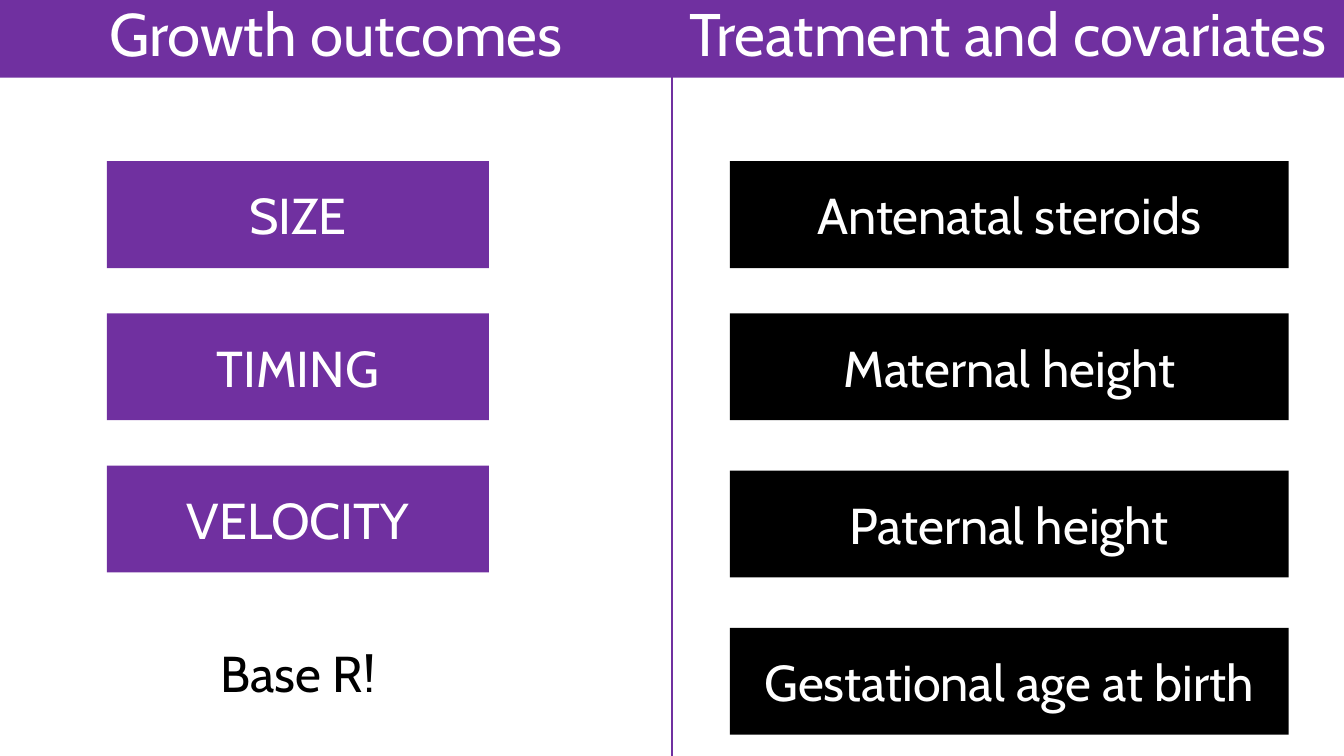
from lxml.etree import SubElement
from pptx import Presentation
from pptx.dml.color import RGBColor
from pptx.enum.shapes import MSO_CONNECTOR as LINE, MSO_SHAPE as SHAPE
from pptx.enum.text import MSO_ANCHOR as ANCHOR, MSO_AUTO_SIZE as FIT, PP_ALIGN as ALIGN
from pptx.oxml.ns import qn
from pptx.util import Inches, Pt

FONT = "Cabin"
PURPLE, BLACK, WHITE = "7030A0", "000000", "FFFFFF"
WIDTH, HEIGHT = 13.33, 7.5
HALF = WIDTH / 2

OUTCOMES = [
    ("SIZE", 1.6, PURPLE, WHITE),
    ("TIMING", 3.11, PURPLE, WHITE),
    ("VELOCITY", 4.62, PURPLE, WHITE),
    ("Base R!", 6.14, WHITE, BLACK),
]
FACTORS = [
    ("Antenatal steroids", 1.6),
    ("Maternal height", 3.11),
    ("Paternal height", 4.67),
    ("Gestational age at birth", 6.23),
]


def paint(fmt, color):
    fmt.solid()
    fmt.fore_color.rgb = RGBColor.from_string(color)


def write(shape, text, size=36, color=WHITE, anchor=ANCHOR.MIDDLE, spacing=None):
    frame = shape.text_frame
    frame.word_wrap = True
    frame.auto_size = FIT.NONE
    frame.vertical_anchor = anchor
    para = frame.paragraphs[0]
    para.alignment = ALIGN.CENTER
    para.line_spacing = spacing
    run = para.add_run()
    run.text = text
    run.font.name = FONT
    run.font.size = Pt(size)
    run.font.color.rgb = RGBColor.from_string(color)


def add_box(slide, left, top, width, height, fill):
    box = slide.shapes.add_shape(
        SHAPE.RECTANGLE, Inches(left), Inches(top), Inches(width), Inches(height))
    box.shadow.inherit = False
    paint(box.fill, fill)
    box.line.fill.background()
    return box


def add_label(slide, text, left, top, width, fill, color=WHITE):
    write(add_box(slide, left, top, width, 1.06, fill), text, color=color)


def add_heads(slide):
    """Place the title over the left half and its twin over the right."""
    title = slide.shapes.title
    title.left, title.top = Inches(0), Inches(0)
    title.width, title.height = Inches(HALF), Inches(0.77)
    paint(title.fill, PURPLE)
    twin = add_box(slide, HALF, 0, HALF, 0.77, PURPLE)
    for head, text in ((title, "Growth outcomes"), (twin, "Treatment and covariates")):
        write(head, text, size=42.9, anchor=ANCHOR.TOP, spacing=0.9)


def add_rule(slide):
    rule = slide.shapes.add_connector(
        LINE.STRAIGHT, Inches(HALF), Inches(0), Inches(HALF), Inches(HEIGHT))
    paint(rule.line.fill, PURPLE)
    rule.line.width = Pt(1.5)
    SubElement(rule._element.spPr, qn("a:effectLst"))


def main():
    deck = Presentation()
    deck.slide_width, deck.slide_height = Inches(WIDTH), Inches(HEIGHT)
    slide = deck.slides.add_slide(deck.slide_layouts[5])
    paint(slide.background.fill, WHITE)
    add_heads(slide)
    add_rule(slide)
    for text, top, fill, color in OUTCOMES:
        add_label(slide, text, 1.06, top, 3.79, fill, color)
    for text, top in FACTORS:
        add_label(slide, text, 7.24, top, 5.54, BLACK)
    deck.save("out.pptx")


if __name__ == "__main__":
    main()
